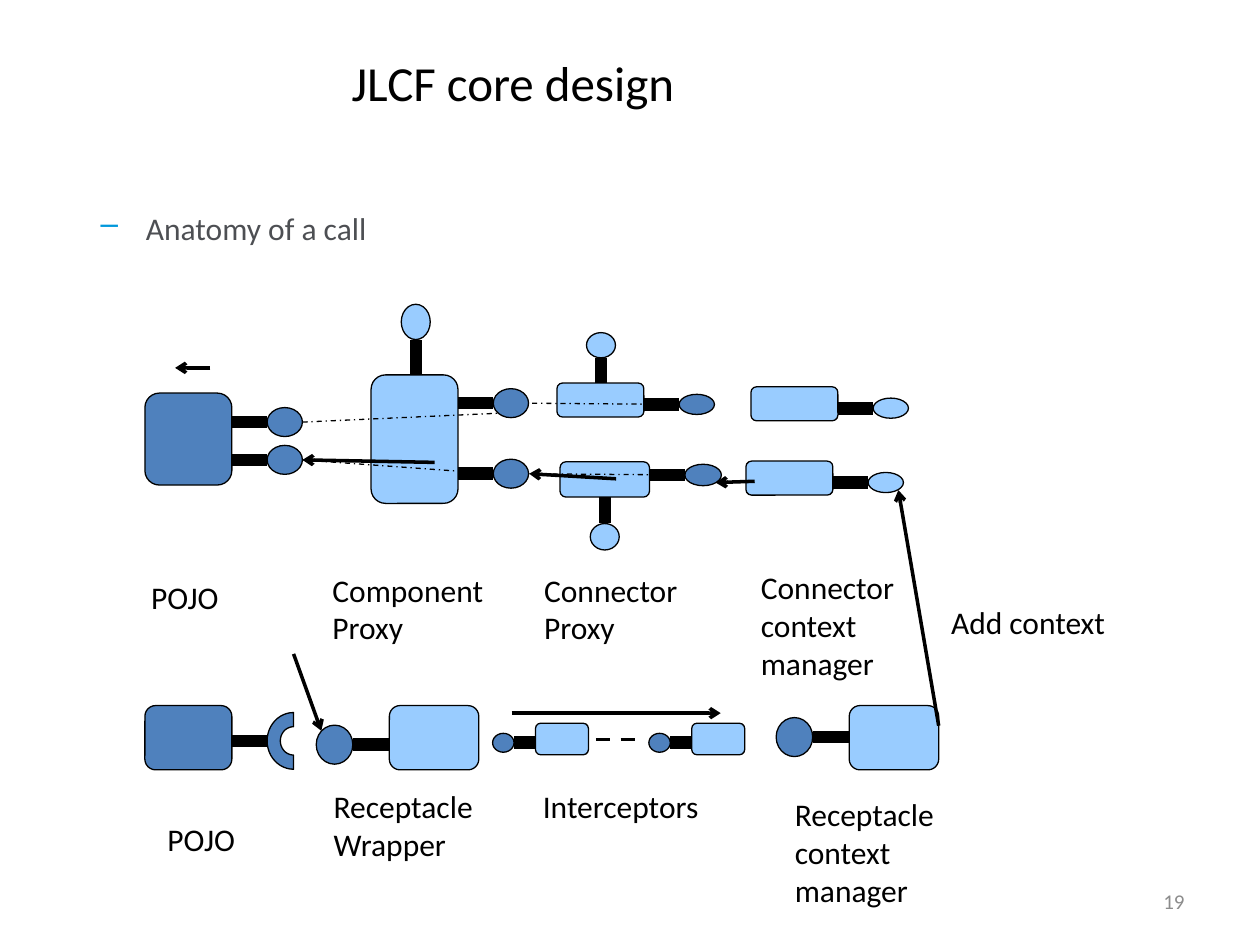
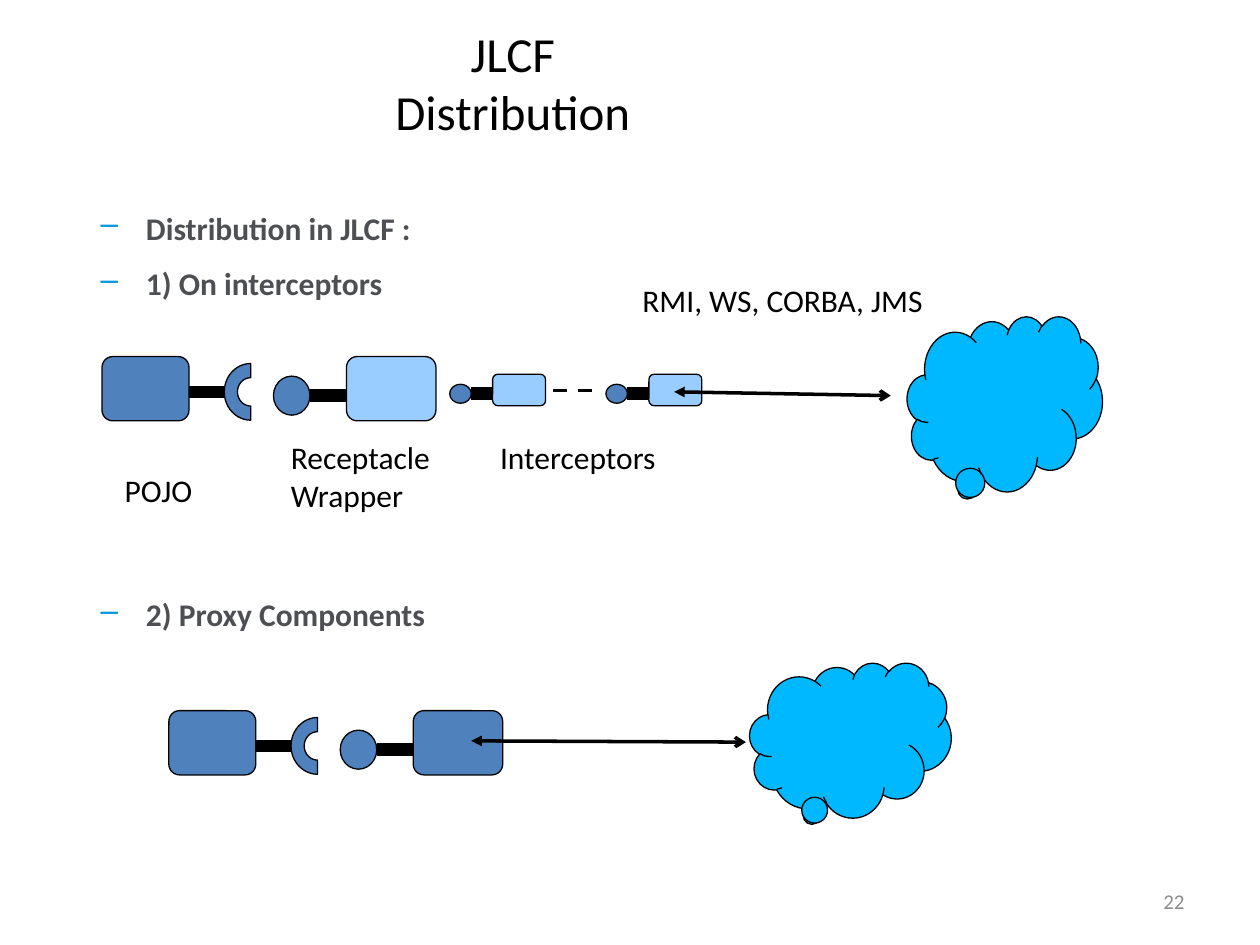
from dataclasses import dataclass, replace
from enum import Enum
from math import cos, pi, sin

from lxml.etree import SubElement as add_node
from pptx import Presentation
from pptx.dml.color import RGBColor as Rgb
from pptx.enum.dml import MSO_LINE as Dash
from pptx.enum.shapes import MSO_CONNECTOR as Link
from pptx.enum.shapes import MSO_SHAPE as Form
from pptx.enum.text import MSO_ANCHOR as Anchor
from pptx.enum.text import PP_ALIGN as Align
from pptx.oxml.ns import qn
from pptx.util import Emu, Inches, Pt

WIDE, HIGH = Inches(10), Inches(7.5)
COLS, ROWS = 100, 75  # square cells; every length below is in cells


@dataclass(frozen=True)
class Theme:
    font: str = "Calibri"
    ink: Rgb = Rgb.from_string("000000")
    grey: Rgb = Rgb.from_string("4D4F53")
    pale: Rgb = Rgb.from_string("8C8C8C")
    mark: Rgb = Rgb.from_string("0098DB")
    dark: Rgb = Rgb.from_string("4F81BD")
    light: Rgb = Rgb.from_string("99CCFF")
    cloud: Rgb = Rgb.from_string("00B8FF")
    title: float = 28
    body: float = 18
    foot: float = 12
    thin: float = 0.75
    bold: float = 2
    stem: float = 7.2


T = Theme()


class Side(Enum):
    LEFT = (-1, 0)
    RIGHT = (1, 0)
    TOP = (0, -1)
    BASE = (0, 1)


@dataclass(frozen=True)
class Port:
    """A stem leaving a block at column or row `at`, ending in a knob or cup."""
    side: Side
    at: float
    stem: float = 2.8
    w: float = 2.8
    h: float = 2.3
    tint: Rgb = T.dark
    cup: bool = False


@dataclass(frozen=True)
class Block:
    x: float
    y: float
    w: float
    h: float
    tint: Rgb
    ports: tuple[Port, ...]


@dataclass(frozen=True)
class Label:
    text: str
    x: float
    y: float
    w: float = 17.8
    h: float = 7.1


@dataclass(frozen=True)
class Line:
    x1: float
    y1: float
    x2: float
    y2: float
    width: float = T.bold
    dash: Dash | None = None
    head: str = ""
    tail: str = ""


@dataclass(frozen=True)
class Point:
    """A line of the outline, with the space before it in points."""
    text: str
    gap: float = 6


def col(n: float) -> Emu:
    return Emu(round(WIDE * n / COLS))


def row(n: float) -> Emu:
    return Emu(round(HIGH * n / ROWS))


def paint(shape, tint: Rgb) -> None:
    shape.shadow.inherit = False
    shape.fill.solid()
    shape.fill.fore_color.rgb = tint
    shape.line.color.rgb = T.ink
    shape.line.width = Pt(T.thin)


def draw_form(slide, form: Form, x: float, y: float, w: float, h: float, tint: Rgb):
    shape = slide.shapes.add_shape(form, col(x), row(y), col(w), row(h))
    paint(shape, tint)
    return shape


def draw_line(slide, line: Line) -> None:
    link = slide.shapes.add_connector(
        Link.STRAIGHT, col(line.x1), row(line.y1), col(line.x2), row(line.y2))
    link.line.color.rgb = T.ink
    link.line.width = Pt(line.width)
    if line.dash:
        link.line.dash_style = line.dash
    props = link._element.spPr
    for tag, kind in (("a:headEnd", line.head), ("a:tailEnd", line.tail)):
        if kind:
            add_node(props.find(qn("a:ln")), qn(tag), type=kind)
    add_node(props, qn("a:effectLst"))


def draw_cup(slide, x: float, y: float, w: float, h: float, tint: Rgb) -> None:
    """Half ring, open to the right, whose back touches (x, y)."""
    steps = 24
    turn = [pi / 2 + pi * i / steps for i in range(steps + 1)]
    rim = [(a, 1) for a in turn] + [(a, 0.5) for a in reversed(turn)]
    dots = [(col(x + w + w * r * cos(a)), row(y + h / 2 * r * sin(a))) for a, r in rim]
    pen = slide.shapes.build_freeform(*dots[0], scale=1.0)
    pen.add_line_segments(dots[1:], close=True)
    paint(pen.convert_to_shape(), tint)


def draw_port(slide, block: Block, port: Port) -> None:
    dx, dy = port.side.value
    x = block.x + block.w * (dx > 0) if dx else port.at
    y = block.y + block.h * (dy > 0) if dy else port.at
    x2, y2 = x + dx * port.stem, y + dy * port.stem
    draw_line(slide, Line(x, y, x2, y2, T.stem))
    if port.cup:
        draw_cup(slide, x2, y2, port.w, port.h, port.tint)
    else:
        draw_form(slide, Form.OVAL, x2 + (dx - 1) * port.w / 2,
                  y2 + (dy - 1) * port.h / 2, port.w, port.h, port.tint)


def draw_block(slide, block: Block) -> None:
    draw_form(slide, Form.ROUNDED_RECTANGLE,
              block.x, block.y, block.w, block.h, block.tint)
    for port in block.ports:
        draw_port(slide, block, port)


def draw_text(slide, label: Label, size: float = T.body, tint: Rgb = T.ink,
              align: Align = Align.LEFT, anchor: Anchor = Anchor.TOP,
              bold: bool = False):
    box = slide.shapes.add_textbox(
        col(label.x), row(label.y), col(label.w), row(label.h))
    frame = box.text_frame
    frame.word_wrap = True
    frame.vertical_anchor = anchor
    frame.text = label.text
    for para in frame.paragraphs:
        para.alignment = align
        for run in para.runs:
            run.font.name, run.font.size = T.font, Pt(size)
            run.font.color.rgb, run.font.bold = tint, bold
    return frame


def draw_points(slide, points: list[Point], bold: bool) -> None:
    text = "\n".join(p.text for p in points)
    frame = draw_text(slide, Label(text, 7, 15.5, 84.9, 53.2), tint=T.grey, bold=bold)
    for para, point in zip(frame.paragraphs, points):
        para.line_spacing = 1.19
        para.space_before = Pt(point.gap)
        props = para._p.get_or_add_pPr()
        props.set("marL", str(col(3.6)))
        props.set("indent", str(-col(3.6)))
        add_node(add_node(props, qn("a:buClr")), qn("a:srgbClr"), val=str(T.mark))
        add_node(props, qn("a:buChar"), char="–")


def start_slide(deck, title: str, page: int, points: list[Point], bold: bool = False):
    slide = deck.slides.add_slide(deck.slide_layouts[6])
    draw_text(slide, Label(str(page), 71.7, 69.5, 23.3, 4), T.foot, T.pale,
              Align.RIGHT, Anchor.MIDDLE)
    draw_text(slide, Label(title, 6.8, 1.3, 67.8, 10.4), T.title,
              align=Align.CENTER, anchor=Anchor.MIDDLE)
    draw_points(slide, points, bold)
    return slide


def draw_pair(slide, x: float, y: float, tint: Rgb) -> None:
    """POJO with a cup, facing its receptacle wrapper; (x, y) is the top left."""
    draw_block(slide, Block(x, y, 6.9, 5.1, T.dark, (
        Port(Side.RIGHT, y + 2.8, w=2.1, h=4.5, cup=True),)))
    draw_holder(slide, x + 19.4, y, y + 3.1, tint)


def draw_holder(slide, x: float, y: float, at: float, tint: Rgb) -> None:
    draw_block(slide, Block(x, y, 7.1, 5.1, tint, (
        Port(Side.LEFT, at, 2.9, 2.9, 3.1),)))


def draw_chain(slide, x: float, y: float) -> None:
    """POJO, wrapper and interceptors with their labels."""
    draw_pair(slide, x, y, T.light)
    for step in (0, 12.4):
        draw_block(slide, Block(x + 31 + step, y + 1.4, 4.2, 2.5, T.light, (
            Port(Side.LEFT, y + 2.95, 1.7, 1.7, 1.5),)))
    draw_line(slide, Line(x + 35.8, y + 2.7, x + 39.5, y + 2.7, dash=Dash.DASH))
    for label in (Label("POJO", x + 0.8, y + 8.6, 8.9, 4),
                  Label("Receptacle Wrapper", x + 14, y + 6),
                  Label("Interceptors", x + 30.6, y + 6, h=4)):
        draw_text(slide, label)


def draw_cloud(slide, x: float, y: float, w: float, h: float) -> None:
    shape = draw_form(slide, Form.CLOUD_CALLOUT, x, y, w, h, T.cloud)
    shape.adjustments[0], shape.adjustments[1] = -0.186, 0.474


def build_core(deck) -> None:
    slide = start_slide(deck, "JLCF core design", 19, [Point("Anatomy of a call")])
    slim = Port(Side.RIGHT, 32.1, h=1.6)
    pale = replace(slim, tint=T.light)
    blocks = (
        Block(11.5, 31.2, 6.9, 7.3, T.dark,
              (Port(Side.RIGHT, 33.5), Port(Side.RIGHT, 36.5))),
        Block(44.2, 30.4, 6.9, 2.7, T.light,
              (slim, Port(Side.TOP, 47.7, 2, 2.3, 2, T.light))),
        Block(59.6, 30.7, 6.9, 2.7, T.light, (replace(pale, at=32.4),)),
        Block(59.2, 36.6, 6.9, 2.7, T.light, (replace(pale, at=38.3),)),
        Block(29.45, 29.75, 6.9, 10.2, T.light,
              (Port(Side.RIGHT, 32), Port(Side.RIGHT, 37.6),
               Port(Side.TOP, 33, 2.8, 2.3, 2.8, T.light))),
        Block(44.45, 36.65, 7.1, 2.8, T.light,
              (Port(Side.RIGHT, 37.7, 2.8, 2.9, 1.7),
               Port(Side.BASE, 48, 2.1, 2.3, 2.1, T.light))),
    )
    for block in blocks:
        draw_block(slide, block)
    for ends in ((24, 33.5, 39.5, 32.8), (24, 36.5, 39.2, 37.6),
                 (54.4, 37.7, 42, 37.6), (53.9, 32.1, 41.9, 32)):
        draw_line(slide, Line(*ends, T.thin, Dash.DASH_DOT))
    draw_chain(slide, 11.5, 56)
    draw_holder(slide, 67.4, 56, 58.5, T.light)
    for label in (Label("POJO", 11, 45.4, 8.9, 4),
                  Label("Component Proxy", 25.4, 44.8),
                  Label("Connector\nProxy", 42.2, 44.8),
                  Label("Connector context manager", 59.4, 44.6, h=10.1),
                  Label("Receptacle context manager", 62.1, 62.6, h=10.1),
                  Label("Add context", 74.5, 47.4, 15.3, 4)):
        draw_text(slide, label)
    for ends in ((23.3, 51.9, 25.5, 58), (40.6, 56.6, 57.2, 56.6),
                 (74.5, 57.6, 71.3, 38.9), (59.9, 38.2, 56.8, 38.3),
                 (48.9, 38, 42, 37.6), (34.5, 36.7, 24, 36.5),
                 (16.7, 29.2, 13.9, 29.2)):
        draw_line(slide, Line(*ends, tail="arrow"))


def build_spread(deck) -> None:
    slide = start_slide(deck, "JLCF\vDistribution", 22, [
        Point("Distribution in JLCF :"), Point("1) On interceptors"),
        Point("2) Proxy Components", 163.5)], bold=True)
    draw_chain(slide, 8.1, 28.3)
    draw_pair(slide, 13.4, 56.4, T.dark)
    draw_text(slide, Label("RMI, WS, CORBA, JMS", 50, 21.8, 27.5))
    draw_cloud(slide, 72, 25.1, 15.5, 13.9)
    draw_cloud(slide, 59.5, 52.6, 16, 12.3)
    for ends in ((53.5, 31.1, 70.7, 31.4), (37.4, 58.8, 59.2, 58.9)):
        draw_line(slide, Line(*ends, head="triangle", tail="arrow"))


def main() -> None:
    deck = Presentation()
    deck.slide_width, deck.slide_height = WIDE, HIGH
    build_core(deck)
    build_spread(deck)
    deck.save("out.pptx")


if __name__ == "__main__":
    main()
